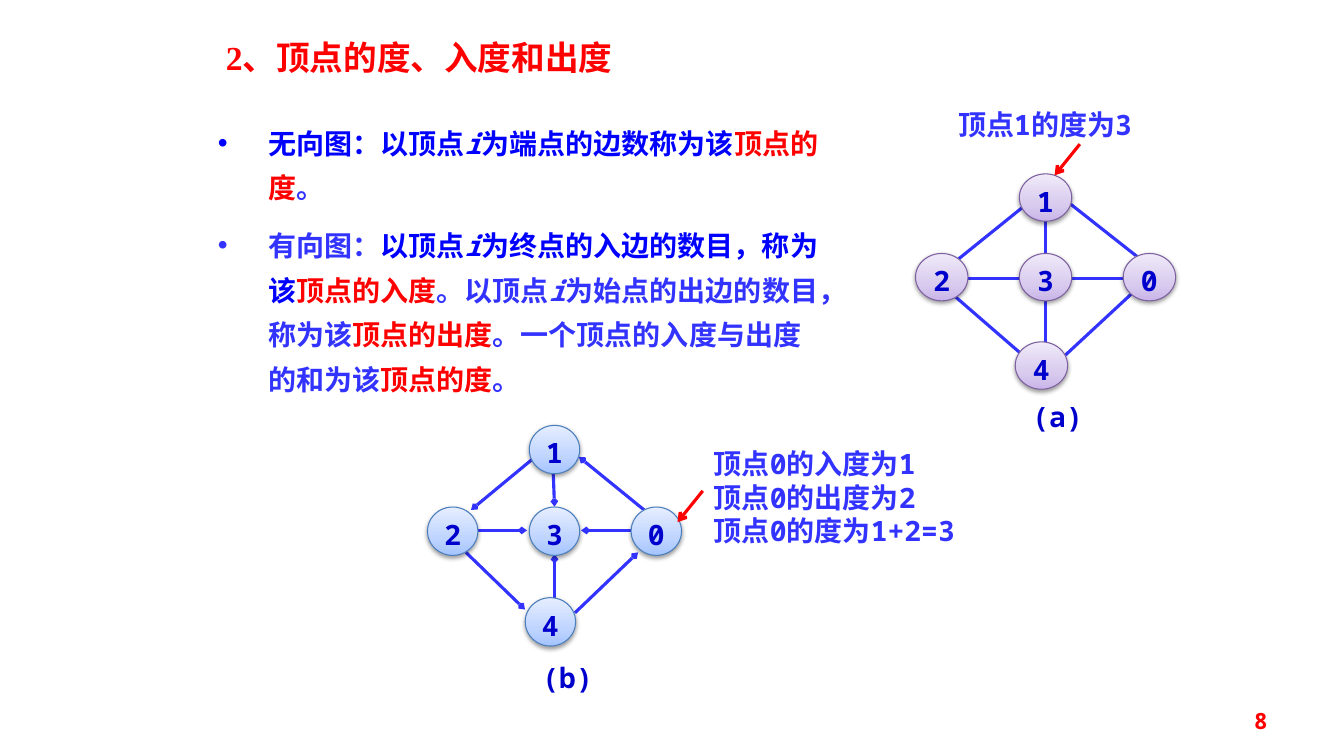
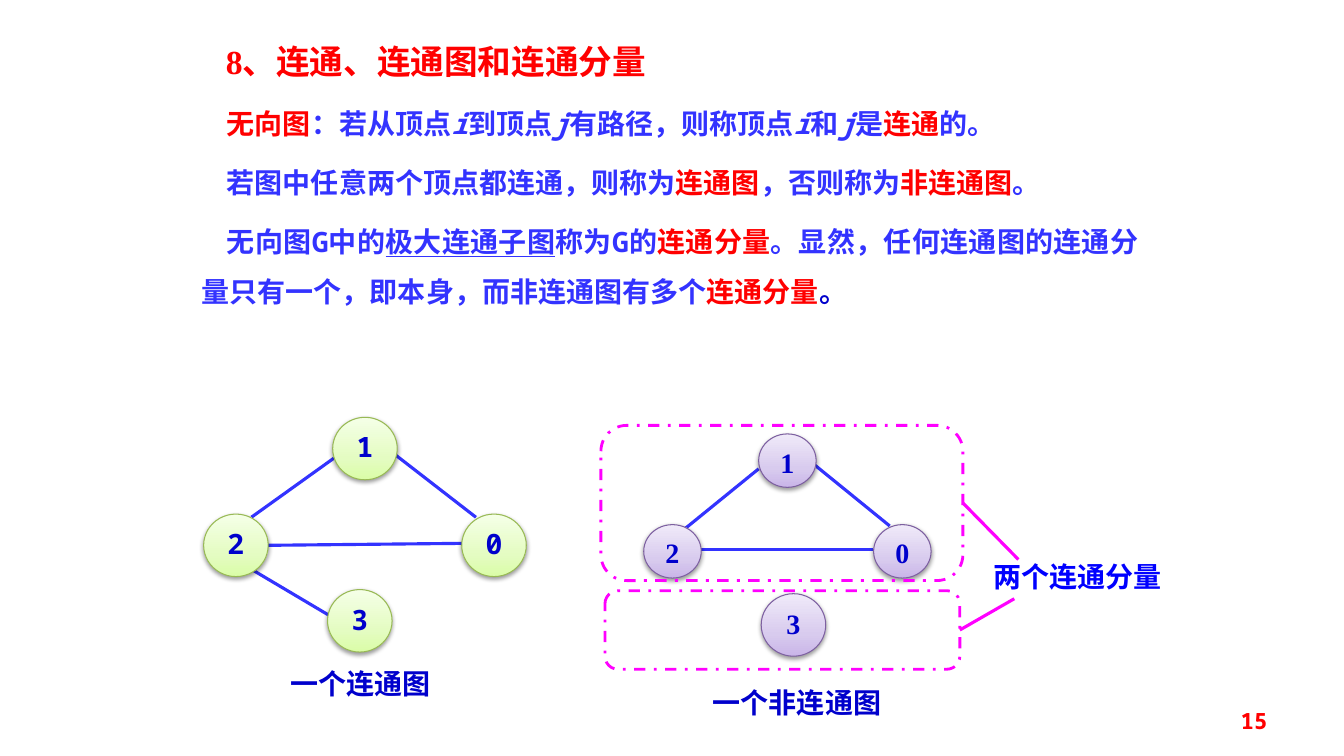
from dataclasses import dataclass

from lxml import etree
from pptx import Presentation
from pptx.dml.color import RGBColor
from pptx.enum.dml import MSO_LINE
from pptx.enum.shapes import MSO_CONNECTOR, MSO_SHAPE
from pptx.enum.text import MSO_ANCHOR, MSO_AUTO_SIZE, PP_ALIGN
from pptx.oxml import parse_xml
from pptx.oxml.ns import nsdecls, qn
from pptx.util import Inches, Pt

MONO, SERIF = "Noto Sans Mono", "Times New Roman"
COLORS = {
    "red": "FF0000", "blue": "3333FF", "bright": "0000FF",
    "navy": "0000CC", "pink": "FF00FF",
}
# Outline, then gradient stops from bottom to top
NODE_STYLES = {
    "purple": ("7D60A0", "C9B5E8", "D8CBEE", "F0EAF9"),
    "azure": ("4B7EBC", "A4C4FF", "BFD4FF", "E6EEFF"),
    "green": ("98B955", "DAFDA7", "E4FCC2", "F5FFE7"),
}
STOPS = (0, 35, 100)


@dataclass(frozen=True)
class Span:
    text: str
    color: str = "blue"
    italic: bool = False
    underline: bool = False


@dataclass(frozen=True)
class Para:
    spans: tuple[Span, ...]
    margin: float = 0
    indent: float = 0
    bullet: str = ""


@dataclass(frozen=True)
class Graph:
    """Nodes and edges in (column, row) units; origin is the centre of cell (0, 0)."""
    style: str
    origin: tuple[float, float]
    pitch: tuple[float, float]
    size: tuple[float, float]
    nodes: dict[str, tuple[float, float]]
    edges: tuple[tuple[float, float, float, float], ...] = ()
    directed: bool = False
    font: str = MONO

    def at(self, col: float, row: float) -> tuple[float, float]:
        return (self.origin[0] + col * self.pitch[0],
                self.origin[1] + row * self.pitch[1])


TRIANGLE = {"1": (1, 0), "2": (0, 1), "0": (2, 1)}
DIAMOND = {**TRIANGLE, "3": (1, 1), "4": (0.96, 2.11)}

UNDIRECTED = Graph(
    "purple", (9.34, 1.96), (1.03, 0.79), (0.52, 0.47), DIAMOND,
    ((0.2, 1.02, 1.79, 1.02), (1, 0.28, 1, 2.07), (0.1, 1.21, 0.79, 1.99),
     (1.19, 1.98, 1.86, 1.17), (1.19, 0.03, 1.91, 0.77), (0.82, 0.08, 0.03, 0.91)))
DIRECTED = Graph(
    "azure", (4.49, 4.46), (1.01, 0.81), (0.5, 0.48), DIAMOND,
    ((0.98, 0.04, 1, 0.7), (1, 1.88, 1, 1.28), (1.75, 0.99, 1.26, 0.99),
     (0.24, 0.99, 0.73, 0.99), (0.13, 1.26, 0.71, 1.96), (1.2, 2, 1.82, 1.26),
     (1.88, 0.74, 1.24, 0.09), (0.8, 0.1, 0.18, 0.74)), directed=True)
CONNECTED = Graph(
    "green", (2.34, 4.45), (1.28, 0.96), (0.64, 0.62),
    {**TRIANGLE, "3": (0.96, 1.78)},
    ((0.12, 0.71, 0.79, 0.07), (0.11, 1.24, 0.73, 1.73),
     (1.75, 0.98, 0.25, 1), (1.24, 0.07, 1.86, 0.71)))
COMPONENT = Graph(
    "purple", (6.67, 4.57), (1.14, 0.9), (0.57, 0.53), TRIANGLE,
    ((1.89, 0.72, 1.22, 0.03), (0.75, 0.09, 0.07, 0.79), (0.23, 0.98, 1.74, 0.98)),
    font=SERIF)
ISOLATED = Graph("purple", (7.87, 6.2), (1, 1), (0.64, 0.62), {"3": (0, 0)}, font=SERIF)

DEGREE_TEXT = (
    Para((Span("无向图：以顶点", "bright"), Span("i", "bright", True),
          Span("为端点的边数称为该", "bright"), Span("顶点的度", "red"), Span("。")),
         0.5, -0.5, "•"),
    Para((Span("有向图："), Span("以顶点", "bright"), Span("i", "bright", True),
          Span("为终点的入边的数目，称为该", "bright"), Span("顶点的入度", "red"),
          Span("。以顶点"), Span("i", italic=True), Span("为始点的出边的数目，称为该"),
          Span("顶点的出度", "red"), Span("。一个顶点的入度与出度的和为该"),
          Span("顶点的度", "red"), Span("。")),
         0.5, -0.5, "•"),
)
CONNECTIVITY_TEXT = (
    Para((Span("无向图", "red"), Span("：若从顶点"), Span("i", italic=True),
          Span("到顶点"), Span("j", italic=True), Span("有路径，则称顶点"),
          Span("i", italic=True), Span("和"), Span("j", italic=True), Span("是"),
          Span("连通", "red"), Span("的。")), indent=0.25),
    Para((Span("若图中任意两个顶点都连通，则称为"), Span("连通图", "red"),
          Span("，否则称为"), Span("非连通图", "red"), Span("。")), indent=0.25),
    Para((Span("无向图G中的"), Span("极大连通子图", underline=True), Span("称为G的"),
          Span("连通分量", "red"),
          Span("。显然，任何连通图的连通分量只有一个，即本身，而非连通图有多个"),
          Span("连通分量", "red"), Span("。", "navy")), indent=0.25),
)


def rgb(name: str) -> RGBColor:
    return RGBColor.from_string(COLORS[name])


def style_run(r, color: str, size: float = 20, font: str = MONO) -> None:
    r.font.name, r.font.size, r.font.bold = font, Pt(size), True
    r.font.color.rgb = rgb(color)


def place(sp, left: float, top: float, width: float, height: float) -> None:
    sp.left, sp.top = Inches(left), Inches(top)
    sp.width, sp.height = Inches(width), Inches(height)


def add_title(s, text: str, top: float) -> None:
    sp = s.shapes.title
    place(sp, 2.14, top, 8, 0.5)
    tf = sp.text_frame
    tf.text = text
    tf.auto_size, tf.vertical_anchor = MSO_AUTO_SIZE.NONE, MSO_ANCHOR.MIDDLE
    p = tf.paragraphs[0]
    p.alignment = PP_ALIGN.LEFT
    style_run(p.runs[0], "red", 24, SERIF)


def add_body(s, box: tuple[float, float, float, float], paras: tuple[Para, ...],
             spacing, before: float, align: PP_ALIGN) -> None:
    sp = s.placeholders[1]
    place(sp, *box)
    tf = sp.text_frame
    tf.auto_size, tf.vertical_anchor = MSO_AUTO_SIZE.NONE, MSO_ANCHOR.TOP
    for i, para in enumerate(paras):
        p = tf.paragraphs[0] if i == 0 else tf.add_paragraph()
        p.alignment, p.line_spacing, p.space_before = align, spacing, Pt(before)
        pPr = p._p.get_or_add_pPr()
        pPr.set("marL", str(Inches(para.margin)))
        pPr.set("indent", str(Inches(para.indent)))
        if para.bullet:
            etree.SubElement(pPr, qn("a:buChar")).set("char", para.bullet)
        else:
            etree.SubElement(pPr, qn("a:buNone"))
        for span in para.spans:
            r = p.add_run()
            r.text = span.text
            style_run(r, span.color)
            r.font.italic, r.font.underline = span.italic, span.underline


def add_label(s, text: str, box: tuple[float, float, float, float], color: str,
              align: PP_ALIGN = PP_ALIGN.CENTER, font: str = MONO, size: float = 20,
              inset: float = 0.1, anchor: MSO_ANCHOR = MSO_ANCHOR.TOP) -> None:
    tf = s.shapes.add_textbox(*map(Inches, box)).text_frame
    tf.text = text
    tf.word_wrap, tf.vertical_anchor = True, anchor
    tf.margin_left = tf.margin_right = Inches(inset)
    tf.margin_top = tf.margin_bottom = Inches(inset / 2)
    for p in tf.paragraphs:
        p.alignment = align
        style_run(p.runs[0], color, size, font)


def add_line(s, start: tuple[float, float], end: tuple[float, float],
             color: str, head: str = ""):
    """Draw a straight line; head is an arrowhead size such as "sm" or "med"."""
    cx = s.shapes.add_connector(MSO_CONNECTOR.STRAIGHT, *map(Inches, (*start, *end)))
    cx.line.color.rgb, cx.line.width = rgb(color), Pt(2.25)
    if head:
        tail = etree.SubElement(cx.line._get_or_add_ln(), qn("a:tailEnd"))
        for key, value in (("type", "arrow"), ("w", head), ("len", head)):
            tail.set(key, value)
    etree.SubElement(cx._element.spPr, qn("a:effectLst"))
    return cx


def add_node(s, graph: Graph, name: str) -> None:
    x, y = graph.at(*graph.nodes[name])
    w, h = graph.size
    sp = s.shapes.add_shape(MSO_SHAPE.OVAL, *map(Inches, (x - w / 2, y - h / 2, w, h)))
    outline, *shades = NODE_STYLES[graph.style]
    sp.line.color.rgb, sp.line.width = RGBColor.from_string(outline), Pt(0.75)
    stops = "".join(f'<a:gs pos="{pos * 1000}"><a:srgbClr val="{shade}"/></a:gs>'
                    for pos, shade in zip(STOPS, shades))
    spPr = sp._element.spPr
    spPr.find(qn("a:prstGeom")).addnext(parse_xml(
        f'<a:gradFill {nsdecls("a")} rotWithShape="1"><a:gsLst>{stops}</a:gsLst>'
        '<a:lin ang="16200000" scaled="1"/></a:gradFill>'))
    spPr.append(parse_xml(
        f'<a:effectLst {nsdecls("a")}><a:outerShdw blurRad="40000" dist="20000" '
        'dir="5400000" rotWithShape="0"><a:srgbClr val="000000">'
        '<a:alpha val="38000"/></a:srgbClr></a:outerShdw></a:effectLst>'))
    tf = sp.text_frame
    tf.text = name
    tf.vertical_anchor = MSO_ANCHOR.TOP
    tf.margin_left = tf.margin_right = tf.margin_bottom = 0
    tf.margin_top = Inches(0.12)
    p = tf.paragraphs[0]
    p.alignment, p.line_spacing = PP_ALIGN.CENTER, 0.72
    style_run(p.runs[0], "navy", font=graph.font)


def add_graph(s, graph: Graph) -> None:
    for c1, r1, c2, r2 in graph.edges:
        add_line(s, graph.at(c1, r1), graph.at(c2, r2), "blue",
                 "sm" if graph.directed else "")
    for name in graph.nodes:
        add_node(s, graph, name)


def add_frame(s, box: tuple[float, float, float, float]):
    sp = s.shapes.add_shape(MSO_SHAPE.ROUNDED_RECTANGLE, *map(Inches, box))
    sp.shadow.inherit = False
    sp.fill.background()
    sp.line.color.rgb, sp.line.width = rgb("pink"), Pt(2)
    sp.line.dash_style = MSO_LINE.DASH_DOT
    return sp


def add_slide(prs, title: str, title_top: float, number: int):
    s = prs.slides.add_slide(prs.slide_layouts[1])
    add_title(s, title, title_top)
    add_label(s, str(number), (9.56, 6.95, 3.11, 0.4), "red", PP_ALIGN.RIGHT,
              size=16, anchor=MSO_ANCHOR.MIDDLE)
    return s


def degree_slide(prs) -> None:
    s = add_slide(prs, "2、顶点的度、入度和出度", 0.32, 8)
    add_graph(s, UNDIRECTED)
    add_graph(s, DIRECTED)
    for text, left, top in (("(a)", 10.24, 3.96), ("(b)", 5.38, 6.55)):
        add_label(s, text, (left, top, 0.6, 0.4), "navy", PP_ALIGN.LEFT, inset=0)
    add_body(s, (2.06, 1.09, 6.17, 2.98), DEGREE_TEXT, Pt(32), 9, PP_ALIGN.LEFT)
    add_label(s, "顶点1的度为3", (9.39, 1.02, 1.95, 0.44), "blue")
    add_label(s, "顶点0的入度为1\n顶点0的出度为2\n顶点0的度为1+2=3",
              (6.98, 4.38, 2.73, 1.11), "blue", PP_ALIGN.LEFT)
    for x, y in ((10.71, 1.43), (6.97, 4.87)):
        add_line(s, (x, y), (x - 0.25, y + 0.31), "red", "med")


def connectivity_slide(prs) -> None:
    s = add_slide(prs, "8、连通、连通图和连通分量", 0.36, 15)
    add_body(s, (1.9, 0.84, 9.49, 2.3), CONNECTIVITY_TEXT, 1.5, 6, PP_ALIGN.JUSTIFY)
    for graph in (CONNECTED, COMPONENT, ISOLATED):
        add_graph(s, graph)
    for text, left, top, color, font in (
            ("一个连通图", 2.6, 6.56, "navy", MONO),
            ("一个非连通图", 6.93, 6.75, "navy", SERIF),
            ("两个连通分量", 9.71, 5.5, "bright", MONO)):
        add_label(s, text, (left, top, 1.95, 0.44), color, font=font)
    for box, end in (((5.96, 4.22, 3.59, 1.54), (10.1, 5.55)),
                     ((6, 5.86, 3.52, 0.78), (10.06, 5.94))):
        frame = add_frame(s, box)
        start = (box[0] + box[2], box[1] + box[3] / 2)
        add_line(s, start, end, "pink").begin_connect(frame, 3)


def main() -> None:
    prs = Presentation()
    prs.slide_width, prs.slide_height = Inches(13.33), Inches(7.5)
    degree_slide(prs)
    connectivity_slide(prs)
    prs.save("out.pptx")


if __name__ == "__main__":
    main()
